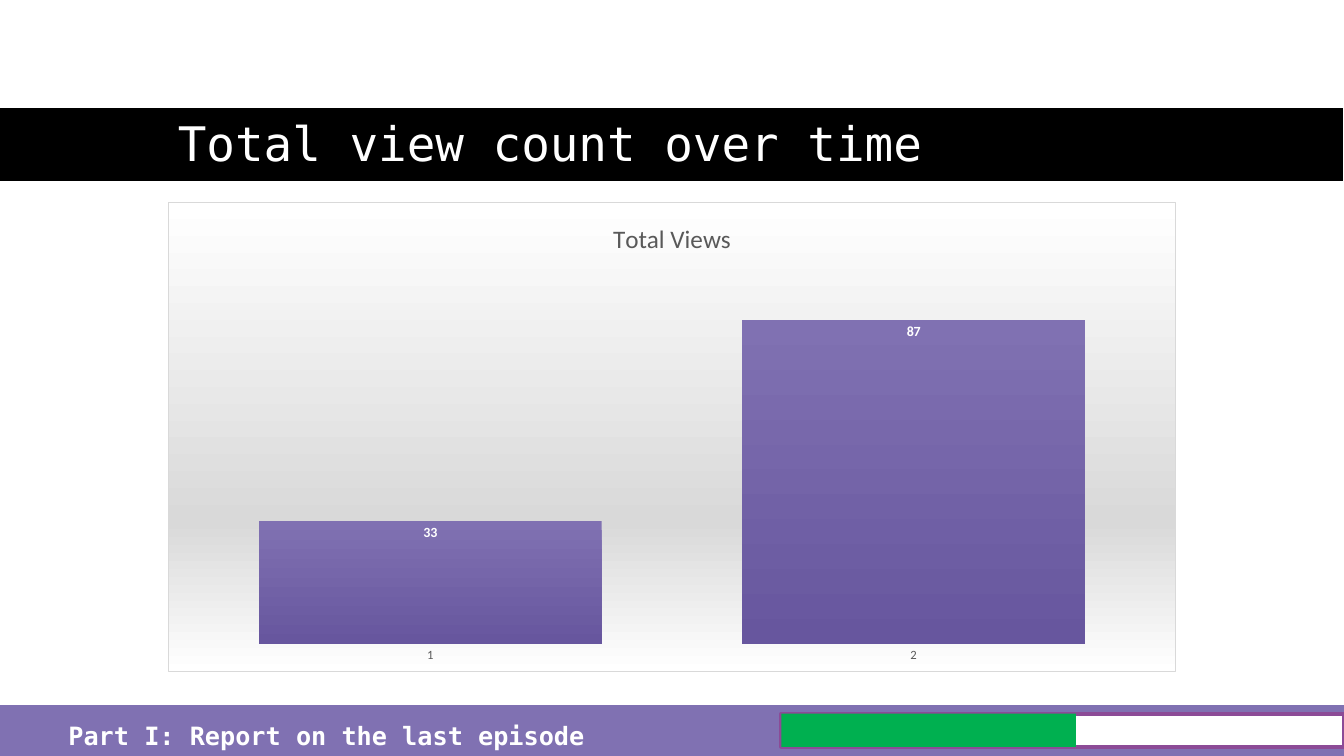
from lxml import etree
from pptx import Presentation
from pptx.chart.data import CategoryChartData
from pptx.dml.color import RGBColor
from pptx.enum.chart import XL_CHART_TYPE as ChartType, XL_LABEL_POSITION as LabelPosition
from pptx.enum.chart import XL_TICK_MARK as TickMark
from pptx.enum.shapes import MSO_SHAPE as Preset
from pptx.enum.text import MSO_ANCHOR as Anchor
from pptx.oxml import parse_xml
from pptx.oxml.ns import nsdecls, qn
from pptx.util import Inches, Pt

WIDTH, HEIGHT = 13.33, 7.5
MONO, SANS = "DejaVu Sans Mono", "Calibri"
WHITE, PURPLE, GREY, DARK_GREY = "FFFFFF", "8071B2", "D9D9D9", "595959"

# Left, top, width, height in inches; fill; line colour and width in points
PROGRESS_LEFT, PROGRESS_TOP, PROGRESS_HEIGHT = 7.75, 7.08, 0.33
PROGRESS_WIDTH, PROGRESS_DONE = WIDTH - PROGRESS_LEFT, 2.92
BARS = {
    "title band": ((-0.33, 1.06, WIDTH + 0.33, 0.75), "000000", (WHITE, 1.5)),
    "footer": ((0, HEIGHT - 0.5, WIDTH, 0.5), PURPLE, (PURPLE, 1)),
    "progress track": ((PROGRESS_LEFT, PROGRESS_TOP, PROGRESS_WIDTH, PROGRESS_HEIGHT),
                       WHITE, ("8C4B97", 3)),
    "progress done": ((PROGRESS_LEFT, PROGRESS_TOP, PROGRESS_DONE, PROGRESS_HEIGHT),
                      "00B050", None),
}
TEXTS = [
    ("Total view count over time", (WIDTH / 8, 0.5, WIDTH * 0.75, 1.25),
     {"name": MONO, "size": 34, "color": WHITE}, Anchor.BOTTOM, 0.9),
    ("Part I: Report on the last episode", (0.58, 7.1, 5.42, 0.4),
     {"name": MONO, "size": 18, "color": WHITE, "bold": True}, Anchor.TOP, 1.0),
]
CHART_PLACE = (WIDTH / 8, 2, WIDTH * 0.75, 4.67)
CHART_TITLE = "Total Views"
VIEWS = {"1": 33, "2": 87}
AREA_STOPS = [(0, WHITE), (68, GREY), (100, WHITE)]
COLUMN_STOPS = [(0, PURPLE), (100, "67569E")]


def rgb(value):
    return RGBColor.from_string(value)


def inches(place):
    return [Inches(length) for length in place]


def set_font(font, values):
    for key, value in values.items():
        if key == "color":
            font.color.rgb = rgb(value)
        else:
            setattr(font, key, Pt(value) if key == "size" else value)


def gradient(stops):
    """Return a top-to-bottom gradient fill from (percent, colour) stops."""
    marks = "".join(f'<a:gs pos="{percent * 1000}"><a:srgbClr val="{color}"/></a:gs>'
                    for percent, color in stops)
    return parse_xml(f'<a:gradFill {nsdecls("a")} rotWithShape="1"><a:gsLst>{marks}</a:gsLst>'
                     '<a:lin ang="5400000" scaled="0"/></a:gradFill>')


def add_bar(slide, place, fill, line):
    bar = slide.shapes.add_shape(Preset.RECTANGLE, *inches(place))
    bar.shadow.inherit = False
    bar.fill.solid()
    bar.fill.fore_color.rgb = rgb(fill)
    if line:
        color, width = line
        bar.line.color.rgb = rgb(color)
        bar.line.width = Pt(width)
    else:
        bar.line.fill.background()


def add_text(slide, text, place, font, anchor, spacing):
    frame = slide.shapes.add_textbox(*inches(place)).text_frame
    frame.word_wrap = True
    frame.vertical_anchor = anchor
    para = frame.paragraphs[0]
    para.line_spacing = spacing
    span = para.add_run()
    span.text = text
    set_font(span.font, font)


def style_area(chart):
    """Give the chart area its gradient and thin border."""
    area = parse_xml(f'<c:spPr {nsdecls("c", "a")}><a:ln w="{Pt(0.75)}"><a:solidFill>'
                     f'<a:srgbClr val="{GREY}"/></a:solidFill></a:ln></c:spPr>')
    area.insert(0, gradient(AREA_STOPS))
    chart.element.find(qn("c:chart")).addnext(area)
    rounded = chart.element.find(qn("c:roundedCorners"))
    if rounded is None:
        rounded = etree.Element(qn("c:roundedCorners"))
        chart.element.find(qn("c:chart")).addprevious(rounded)
    rounded.set("val", "0")


def add_views_chart(slide):
    data = CategoryChartData()
    data.categories = list(VIEWS)
    data.add_series("Series 1", list(VIEWS.values()))
    chart = slide.shapes.add_chart(ChartType.COLUMN_CLUSTERED, *inches(CHART_PLACE), data).chart
    set_font(chart.font, {"name": SANS, "size": 10, "color": "000000"})
    style_area(chart)
    chart.has_legend = False
    chart.has_title = True
    title = chart.chart_title.text_frame
    title.text = CHART_TITLE
    set_font(title.paragraphs[0].runs[0].font,
             {"name": SANS, "size": 18, "color": DARK_GREY, "bold": False})

    category_axis, value_axis = chart.category_axis, chart.value_axis
    category_axis.major_tick_mark = TickMark.NONE
    category_axis.format.line.fill.background()
    set_font(category_axis.tick_labels.font, {"name": SANS, "size": 9, "color": DARK_GREY})
    value_axis.minimum_scale, value_axis.maximum_scale = 0, 100
    value_axis.has_major_gridlines = False
    value_axis.visible = False

    plot = chart.plots[0]
    plot.gap_width = 41
    plot.vary_by_categories = False
    series = plot.series[0]
    series.format.line.fill.background()
    series.format.line._ln.addprevious(gradient(COLUMN_STOPS))
    labels = series.data_labels
    labels.show_value = True
    labels.position = LabelPosition.INSIDE_END
    set_font(labels.font, {"name": SANS, "size": 10, "color": WHITE, "bold": True})


def main():
    deck = Presentation()
    deck.slide_width, deck.slide_height = inches((WIDTH, HEIGHT))
    page = deck.slides.add_slide(deck.slide_layouts[6])
    for bar in BARS.values():
        add_bar(page, *bar)
    for text in TEXTS:
        add_text(page, *text)
    add_views_chart(page)
    deck.save("out.pptx")


if __name__ == "__main__":
    main()
